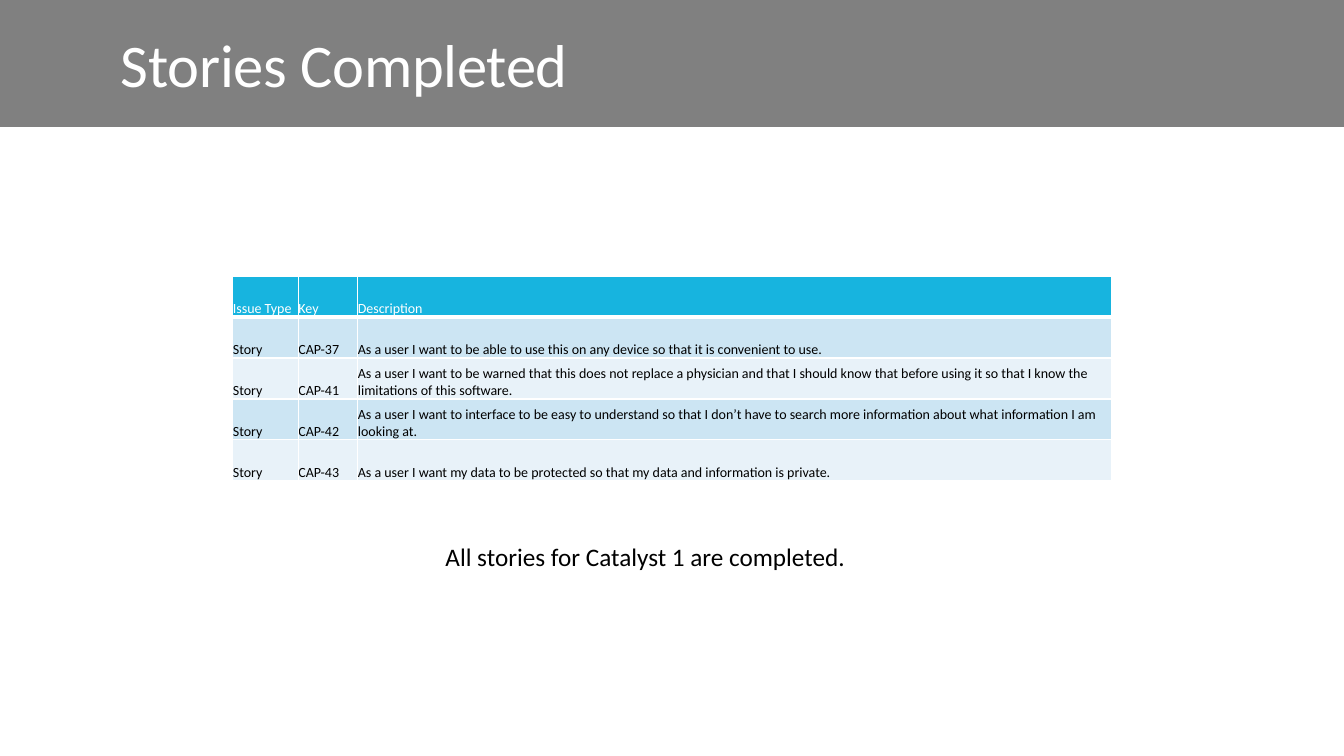
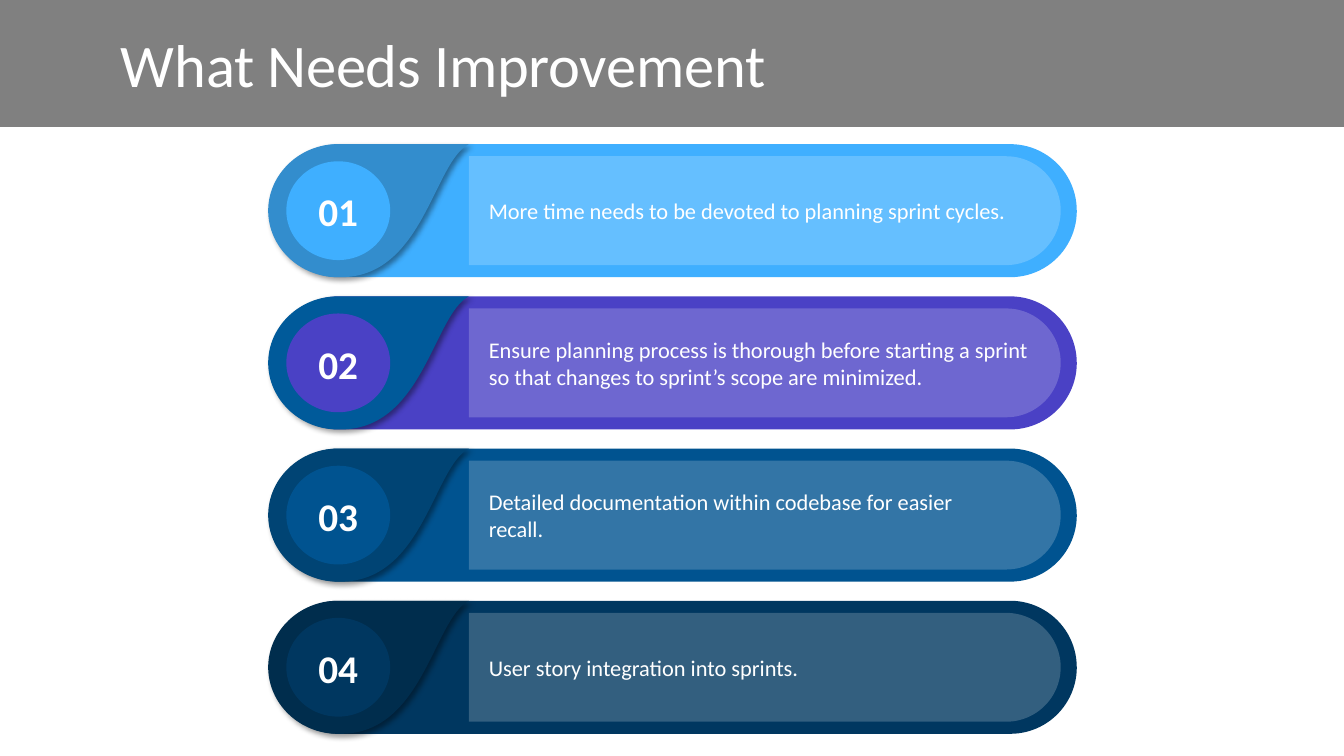
from lxml import etree
from pptx import Presentation
from pptx.dml.color import RGBColor
from pptx.enum.shapes import MSO_SHAPE
from pptx.enum.text import MSO_ANCHOR, PP_ALIGN
from pptx.oxml.ns import qn
from pptx.util import Inches, Pt

RECTANGLE = MSO_SHAPE.RECTANGLE
PILL = MSO_SHAPE.ROUNDED_RECTANGLE
HALF_PILL = MSO_SHAPE.ROUND_2_SAME_RECTANGLE
OVAL = MSO_SHAPE.OVAL
MIDDLE, BOTTOM = MSO_ANCHOR.MIDDLE, MSO_ANCHOR.BOTTOM
LEFT, CENTER = PP_ALIGN.LEFT, PP_ALIGN.CENTER

FONT = "Calibri"
WHITE, BLACK, BAND_GREY = "FFFFFF", "000000", "808080"
HEADER_BLUE, ROW_FILLS = "17B4DF", ("CCE5F3", "E8F2F9")
SLIDE_WIDTH, SLIDE_HEIGHT = 13.33, 7.5
BAND_BOX = (0, 0, SLIDE_WIDTH, 1.26)
TITLE_BOX = (1.1, 0.21, 10.3, 0.84)
TITLE_ONLY = 5

COLUMN_WIDTHS = (0.65, 0.59, 7.48)
TABLE_HEIGHT = 2.03
STORIES = (
    ("Issue Type", "Key", "Description"),
    ("Story", "CAP-37", "As a user I want to be able to use this on any device so that "
     "it is convenient to use."),
    ("Story", "CAP-41", "As a user I want to be warned that this does not replace a physician "
     "and that I should know that before using it so that I know the limitations of this "
     "software."),
    ("Story", "CAP-42", "As a user I want to interface to be easy to understand so that I don’t "
     "have to search more information about what information I am looking at."),
    ("Story", "CAP-43", "As a user I want my data to be protected so that my data and "
     "information is private."),
)

# Text, text width, text height, pill colour, tab colour
IMPROVEMENTS = (
    ("More time needs to be devoted to planning sprint cycles.", 5.57, 0.37,
     "3FAFFF", "338DCD"),
    ("Ensure planning process is thorough before starting a sprint so that changes to "
     "sprint’s scope are minimized.", 5.57, 0.64, "4A41C5", "005A9A"),
    ("Detailed documentation within codebase for easier recall.", 5.36, 0.64,
     "005390", "004474"),
    ("User story integration into sprints.", 4.9, 0.37, "003760", "002D4D"),
)
ITEM_LEFT, ITEM_TOP, ITEM_WIDTH, ITEM_HEIGHT, ITEM_PITCH = 2.66, 1.43, 8.02, 1.32, 1.51


def color(hex_string):
    return RGBColor.from_string(hex_string)


def box_lengths(box):
    return [Inches(value) for value in box]


def write_text(text_frame, text, size, text_color=WHITE, bold=False, align=LEFT,
               anchor=MIDDLE, wrap=True, spacing=None):
    text_frame.word_wrap = wrap
    text_frame.vertical_anchor = anchor
    paragraph = text_frame.paragraphs[0]
    paragraph.alignment = align
    run = paragraph.add_run()
    run.text = text
    run.font.name = FONT
    run.font.size = Pt(size)
    run.font.bold = bold
    run.font.color.rgb = color(text_color)
    if spacing is not None:
        run.font._element.set("spc", str(round(spacing * 100)))


def paint(shape, fill):
    shape.shadow.inherit = False
    shape.fill.solid()
    shape.fill.fore_color.rgb = color(fill)
    shape.line.fill.background()


def add_filled_shape(slide, kind, box, fill):
    shape = slide.shapes.add_shape(kind, *box_lengths(box))
    paint(shape, fill)
    return shape


def add_text_box(slide, box, text, size, **text_format):
    text_box = slide.shapes.add_textbox(*box_lengths(box))
    write_text(text_box.text_frame, text, size, **text_format)


def add_titled_slide(presentation, title_text):
    slide = presentation.slides.add_slide(presentation.slide_layouts[TITLE_ONLY])
    title = slide.shapes.title
    title.left, title.top, title.width, title.height = box_lengths(TITLE_BOX)
    write_text(title.text_frame, title_text, 43.2, spacing=-0.2)
    return slide


def move_band_to_layout(slide):
    """Draw the title band and place it behind everything on the shared layout."""
    band = add_filled_shape(slide, RECTANGLE, BAND_BOX, BAND_GREY)
    slide.slide_layout.shapes.element.insert(2, band.element)


def set_borders(cell, widths):
    properties = cell._tc.get_or_add_tcPr()
    for side, width in widths.items():
        line = etree.SubElement(properties, qn(f"a:ln{side}"), w=str(Pt(width)))
        fill = etree.SubElement(line, qn("a:solidFill"))
        etree.SubElement(fill, qn("a:srgbClr"), val=WHITE)


def add_story_table(slide, left, top):
    box = (left, top, sum(COLUMN_WIDTHS), TABLE_HEIGHT)
    table = slide.shapes.add_table(len(STORIES), len(COLUMN_WIDTHS), *box_lengths(box)).table
    for column, width in zip(table.columns, COLUMN_WIDTHS):
        column.width = Inches(width)
    for row_index, values in enumerate(STORIES):
        table.rows[row_index].height = Inches(TABLE_HEIGHT / len(STORIES))
        is_header = row_index == 0
        row_fill = HEADER_BLUE if is_header else ROW_FILLS[(row_index - 1) % 2]
        borders = {"L": 1, "R": 1, "T": 3 if row_index == 1 else 1, "B": 3 if is_header else 1}
        for column_index, value in enumerate(values):
            cell = table.cell(row_index, column_index)
            write_text(cell.text_frame, value, 10, text_color=WHITE if is_header else BLACK,
                       wrap=None)
            cell.vertical_anchor = BOTTOM
            cell.margin_left = cell.margin_right = cell.margin_top = cell.margin_bottom = 0
            set_borders(cell, borders)
            cell.fill.solid()
            cell.fill.fore_color.rgb = color(row_fill)


def bend_segments(freeform, first_indexes):
    """Turn each three line segments that start at an index into one cubic curve."""
    outline = freeform.element.spPr.find(".//" + qn("a:path"))
    segments = outline.findall(qn("a:lnTo"))
    for first in first_indexes:
        curve = etree.Element(qn("a:cubicBezTo"))
        segments[first].addprevious(curve)
        for segment in segments[first:first + 3]:
            curve.append(segment[0])
            outline.remove(segment)


def add_drop_shadow(shape):
    effects = shape.element.spPr.find(qn("a:effectLst"))
    shadow = etree.SubElement(effects, qn("a:outerShdw"), blurRad=str(Pt(4)), dist=str(Pt(3)),
                              dir=str(45 * 60000), algn="tl", rotWithShape="0")
    shadow_color = etree.SubElement(shadow, qn("a:srgbClr"), val=BLACK)
    etree.SubElement(shadow_color, qn("a:alpha"), val="40000")


def add_number_tab(slide, left, top, height, fill):
    """Draw a tab with a round left end and an S-curved right edge."""
    middle = height / 2
    outline = (
        (0.69, 0), (1.99, 0),
        (1.64, 0.18), (1.54, height), (0.72, height),
        (0.69, height),
        (0.31, height), (0, middle + 0.36), (0, middle),
        (0, middle - 0.36), (0.31, 0), (0.69, 0),
    )
    points = [(Inches(left + x), Inches(top + y)) for x, y in outline]
    builder = slide.shapes.build_freeform(*points[0])
    builder.add_line_segments(points[1:], close=True)
    tab = builder.convert_to_shape()
    bend_segments(tab, (1, 5, 8))
    paint(tab, fill)
    add_drop_shadow(tab)


def add_text_plate(slide, left, top, width, height):
    """Draw a translucent plate, turned so that its round end points right."""
    box = (left + (width - height) / 2, top + (height - width) / 2, height, width)
    plate = add_filled_shape(slide, HALF_PILL, box, WHITE)
    plate.rotation = 90
    plate.adjustments[0], plate.adjustments[1] = 0.5, 0
    plate_color = plate.fill._xPr.find(qn("a:solidFill"))[0]
    etree.SubElement(plate_color, qn("a:alpha"), val="20000")


def add_improvement(slide, box, number, text, text_width, text_height, pill_color, tab_color):
    left, top, width, height = box
    middle = top + height / 2
    pill = add_filled_shape(slide, PILL, (left + 0.04, top, width - 0.04, height), pill_color)
    pill.adjustments[0] = 0.5
    add_text_plate(slide, left + 1.99, top + 0.12, 5.87, height - 0.24)
    add_number_tab(slide, left, top, height, tab_color)
    add_filled_shape(slide, OVAL, (left + 0.18, middle - 0.49, 1.03, 0.98), pill_color)
    add_text_box(slide, (left + 0.39, middle - 0.27, 0.61, 0.55), f"{number:02}", 28,
                 bold=True, align=CENTER)
    add_text_box(slide, (left + 2.09, middle - text_height / 2, text_width, text_height),
                 text, 16)


def build_stories_slide(presentation):
    slide = add_titled_slide(presentation, "Stories Completed")
    move_band_to_layout(slide)
    add_story_table(slide, 2.31, 2.74)
    add_text_box(slide, (4.32, 5.32, 4.7, 0.4), "All stories for Catalyst 1 are completed.", 18,
                 text_color=BLACK, wrap=False)


def build_improvements_slide(presentation):
    slide = add_titled_slide(presentation, "What Needs Improvement")
    for index, improvement in enumerate(IMPROVEMENTS):
        box = (ITEM_LEFT, ITEM_TOP + index * ITEM_PITCH, ITEM_WIDTH, ITEM_HEIGHT)
        add_improvement(slide, box, index + 1, *improvement)


def main():
    presentation = Presentation()
    presentation.slide_width = Inches(SLIDE_WIDTH)
    presentation.slide_height = Inches(SLIDE_HEIGHT)
    build_stories_slide(presentation)
    build_improvements_slide(presentation)
    presentation.save("out.pptx")


if __name__ == "__main__":
    main()
